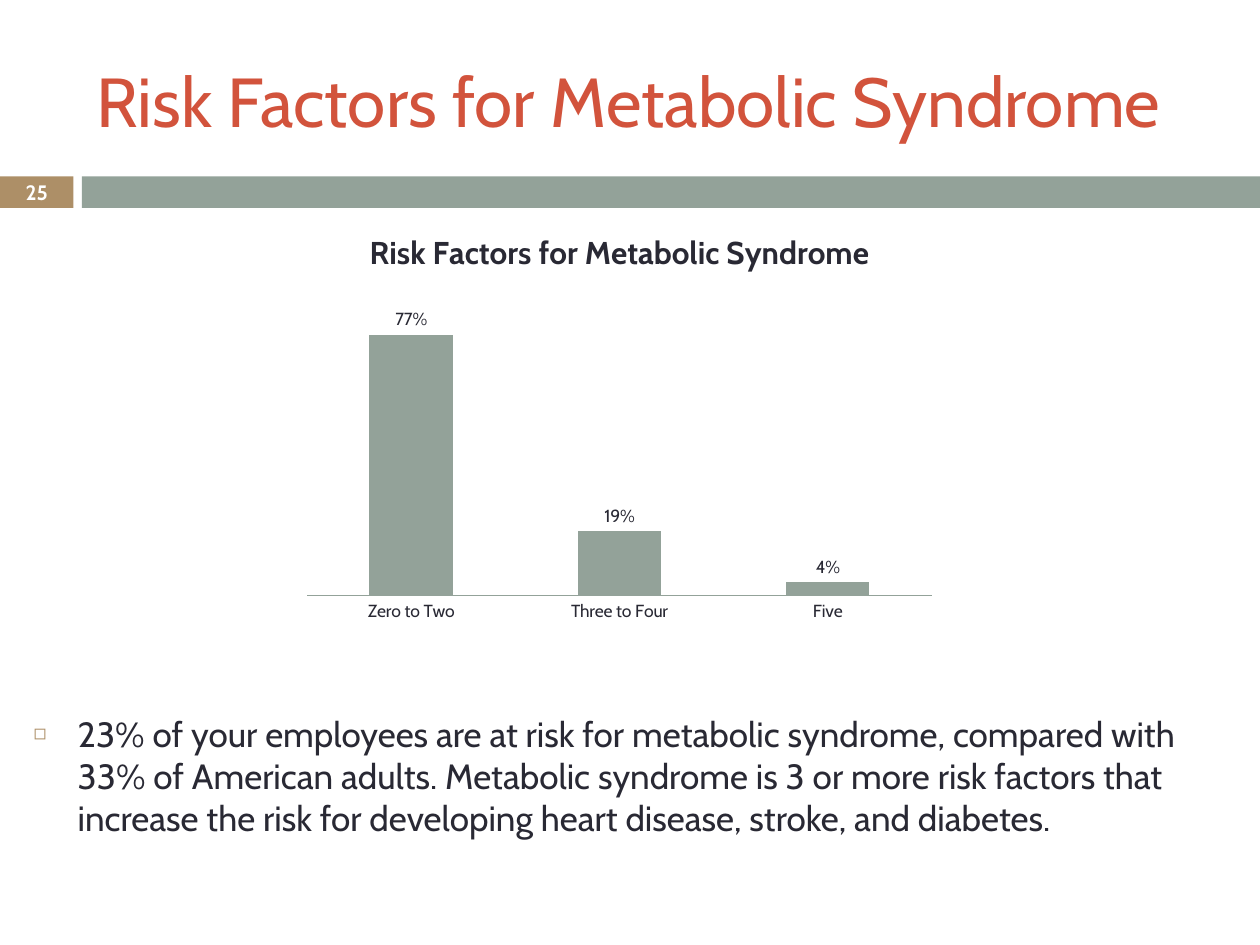
from lxml.etree import SubElement
from pptx import Presentation
from pptx.chart.data import CategoryChartData
from pptx.dml.color import RGBColor
from pptx.enum.chart import XL_CHART_TYPE, XL_LABEL_POSITION, XL_TICK_MARK
from pptx.enum.shapes import MSO_SHAPE
from pptx.enum.text import MSO_ANCHOR, MSO_AUTO_SIZE, PP_ALIGN
from pptx.oxml.ns import qn
from pptx.util import Pt

FONT = "Cabin"
COLORS = {"ink": "292934", "red": "D2533C", "sage": "93A299", "tan": "AD8F67", "white": "FFFFFF"}
HEAD = "Risk Factors for Metabolic Syndrome"
RISKS = {"Zero to Two": 0.77, "Three to Four": 0.19, "Five": 0.04}
NOTE = (
    "23% of your employees are at risk for metabolic syndrome, compared with "
    "33% of American adults. Metabolic syndrome is 3 or more risk factors that "
    "increase the risk for developing heart disease, stroke, and diabetes."
)


def color(name):
    """Return a named color."""
    return RGBColor.from_string(COLORS[name])


def style(font, size, tone="ink", bold=False):
    """Format a font."""
    font.name, font.size, font.bold = FONT, Pt(size), bold
    font.color.rgb = color(tone)


def place(shape, left, top, width, height):
    """Set the box of a shape."""
    shape.left, shape.top = Pt(left), Pt(top)
    shape.width, shape.height = Pt(width), Pt(height)


def write(shape, text, size, tone="ink", bold=False, align=PP_ALIGN.LEFT,
          anchor=MSO_ANCHOR.MIDDLE, inset=3.6):
    """Put formatted text in a shape and return its paragraph."""
    frame = shape.text_frame
    frame.word_wrap, frame.auto_size = True, MSO_AUTO_SIZE.NONE
    frame.vertical_anchor, frame.margin_top = anchor, Pt(inset)
    para = frame.paragraphs[0]
    para.alignment = align
    run = para.add_run()
    run.text = text
    style(run.font, size, tone, bold)
    return para


def bullet(para, char, tone, scale, indent):
    """Give a paragraph a hanging bullet."""
    props = para._p.get_or_add_pPr()
    props.set("marL", str(Pt(indent)))
    props.set("indent", str(-Pt(indent)))
    tint = SubElement(props, qn("a:buClr"))
    SubElement(tint, qn("a:srgbClr"), val=COLORS[tone])
    SubElement(props, qn("a:buSzPct"), val=str(scale * 1000))
    SubElement(props, qn("a:buChar"), char=char)


def band(slide, left, width, tone):
    """Draw one part of the band below the title."""
    shape = slide.shapes.add_shape(MSO_SHAPE.RECTANGLE, Pt(left), Pt(100.8), Pt(width), Pt(18))
    shape.shadow.inherit = False
    shape.fill.solid()
    shape.fill.fore_color.rgb = color(tone)
    shape.line.fill.background()


def graph(slide, left, top, width, height):
    """Add the column chart of risk factors."""
    data = CategoryChartData(number_format="0%")
    data.categories = list(RISKS)
    data.add_series("Series 1", list(RISKS.values()))
    chart = slide.shapes.add_chart(
        XL_CHART_TYPE.COLUMN_CLUSTERED, Pt(left), Pt(top), Pt(width), Pt(height), data
    ).chart
    style(chart.font, 10)
    chart.has_legend = False
    chart.has_title = True
    title = chart.chart_title
    title.include_in_layout = False
    title.text_frame.text = HEAD
    style(title.text_frame.paragraphs[0].runs[0].font, 18, bold=True)

    plot = chart.plots[0]
    plot.gap_width, plot.overlap, plot.vary_by_categories = 150, -25, False
    fill = plot.series[0].format.fill
    fill.solid()
    fill.fore_color.rgb = color("sage")
    plot.has_data_labels = True
    labels = plot.data_labels
    labels.show_value, labels.position = True, XL_LABEL_POSITION.OUTSIDE_END
    labels.number_format, labels.number_format_is_linked = "0%", False
    style(labels.font, 10)

    axis = chart.category_axis
    axis.major_tick_mark = axis.minor_tick_mark = XL_TICK_MARK.NONE
    axis.format.line.color.rgb = color("sage")
    axis.format.line.width = Pt(0.75)
    scale = chart.value_axis
    scale.visible = scale.has_major_gridlines = False
    scale.minimum_scale, scale.maximum_scale = 0, 0.9


def main():
    """Build the slide."""
    deck = Presentation()
    deck.slide_width, deck.slide_height = Pt(720), Pt(540)
    slide = deck.slides.add_slide(deck.slide_layouts[1])
    title, body = slide.placeholders

    band(slide, 0, 42, "tan")
    band(slide, 46.8, 673.2, "sage")
    place(title, 48, 18, 642, 78)
    write(title, HEAD, 39.6, "red")
    graph(slide, 168, 120, 372, 240)
    place(body, 12, 372, 690, 132)
    para = write(body, NOTE, 20, anchor=MSO_ANCHOR.TOP, inset=35)
    para.space_before = Pt(0)
    bullet(para, "\u25fb", "tan", 60, 25.2)
    number = slide.shapes.add_textbox(Pt(0), Pt(100), Pt(42), Pt(19.5))
    write(number, "25", 11.9, "white", True, PP_ALIGN.CENTER)
    deck.save("out.pptx")


main()
